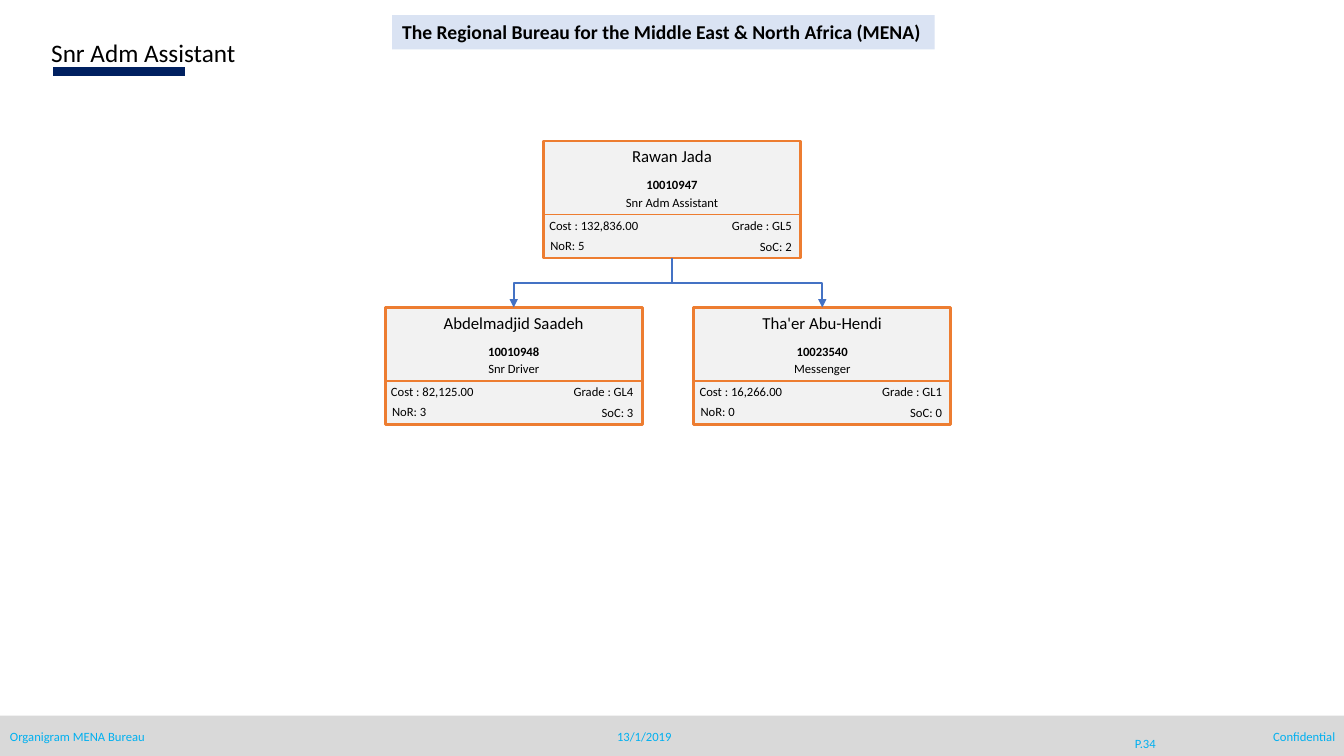
from pptx import Presentation
from pptx.dml.color import RGBColor
from pptx.enum.shapes import MSO_CONNECTOR, MSO_SHAPE
from pptx.enum.text import MSO_ANCHOR, MSO_AUTO_SIZE, PP_ALIGN
from pptx.oxml.ns import qn
from pptx.util import Inches, Pt
from lxml import etree

RECTANGLE = MSO_SHAPE.RECTANGLE
STRAIGHT, ELBOW = MSO_CONNECTOR.STRAIGHT, MSO_CONNECTOR.ELBOW
TOP, MIDDLE = MSO_ANCHOR.TOP, MSO_ANCHOR.MIDDLE
LEFT, CENTER, RIGHT = PP_ALIGN.LEFT, PP_ALIGN.CENTER, PP_ALIGN.RIGHT
FIT_SHAPE = MSO_AUTO_SIZE.SHAPE_TO_FIT_TEXT

SLIDE_WIDTH, SLIDE_HEIGHT = 13.33, 7.5
FONT = "Calibri"
BLACK, NAVY, ORANGE, BLUE, CYAN = "000000", "002060", "ED7D31", "4472C4", "00B0F0"
CARD_GRAY, FOOTER_GRAY, PALE_BLUE = "F2F2F2", "D9D9D9", "DAE3F3"

HEADING = "Snr Adm Assistant"
BUREAU = "The Regional Bureau for the Middle East & North Africa (MENA)"
FOOTER_TOP, FOOTER_TEXT_TOP = 7.1, 7.18
FOOTER = [
    ("Organigram MENA Bureau", 0, 3.08, 0.25, LEFT, TOP),
    ("Confidential", 10.26, 3.08, 0.25, RIGHT, TOP),
    ("P.34", 10.96, 0.8, 0.4, CENTER, MIDDLE),
    ("13/1/2019", 5.95, 0.88, 0.25, CENTER, MIDDLE),
]

CARD_WIDTH, CARD_HEIGHT, DIVIDER_OFFSET = 2.55, 1.16, 0.73
MANAGER = (5.39, 1.4, ["Rawan Jada", "10010947", "Snr Adm Assistant",
                       "Cost : 132,836.00", "Grade : GL5", "NoR: 5", "SoC: 2"])
REPORTS = [
    (3.82, 3.05, ["Abdelmadjid Saadeh", "10010948", "Snr Driver",
                  "Cost : 82,125.00", "Grade : GL4", "NoR: 3", "SoC: 3"]),
    (6.88, 3.05, ["Tha'er Abu-Hendi", "10023540", "Messenger",
                  "Cost : 16,266.00", "Grade : GL1", "NoR: 0", "SoC: 0"]),
]
CARD_FIELDS = [
    (0, 0, CARD_WIDTH, 0.3, CENTER, 12, False),
    (0, 0.31, CARD_WIDTH, 0.25, CENTER, 9, True),
    (0, 0.48, CARD_WIDTH, 0.25, CENTER, 9, False),
    (-0.04, 0.71, 1.23, 0.25, LEFT, 9, False),
    (1.34, 0.71, 1.22, 0.25, RIGHT, 9, False),
    (-0.03, 0.91, 0.79, 0.25, LEFT, 9, False),
    (1.54, 0.92, 1.02, 0.25, RIGHT, 9, False),
]


def color(value):
    return RGBColor.from_string(value)


def add_text(slide, text, box, size, align=LEFT, text_color=BLACK, bold=False,
             anchor=TOP, wrap=True):
    shape = slide.shapes.add_textbox(*map(Inches, box))
    frame = shape.text_frame
    frame.text = text
    frame.word_wrap = wrap
    frame.auto_size = FIT_SHAPE
    frame.vertical_anchor = anchor
    paragraph = frame.paragraphs[0]
    paragraph.alignment = align
    font = paragraph.runs[0].font
    font.name, font.size, font.bold = FONT, Pt(size), bold
    font.color.rgb = color(text_color)
    return shape


def add_rectangle(slide, box, fill, line=None):
    shape = slide.shapes.add_shape(RECTANGLE, *map(Inches, box))
    shape.shadow.inherit = False
    shape.fill.solid()
    shape.fill.fore_color.rgb = color(fill)
    if line:
        shape.line.color.rgb = color(line)
        shape.line.width = Pt(2)
    else:
        shape.line.fill.background()
    return shape


def add_line(slide, kind, start, end, line_color, width):
    connector = slide.shapes.add_connector(kind, *map(Inches, start + end))
    connector.line.color.rgb = color(line_color)
    connector.line.width = Pt(width)
    etree.SubElement(connector._element.spPr, qn("a:effectLst"))
    return connector


def add_card(slide, left, top, values):
    card = add_rectangle(slide, (left, top, CARD_WIDTH, CARD_HEIGHT), CARD_GRAY, ORANGE)
    divider = top + DIVIDER_OFFSET
    add_line(slide, STRAIGHT, (left, divider), (left + CARD_WIDTH, divider), ORANGE, 1)
    for value, (dx, dy, width, height, align, size, bold) in zip(values, CARD_FIELDS):
        add_text(slide, value, (left + dx, top + dy, width, height), size, align, bold=bold)
    return card


def link_cards(slide, parent, child):
    start_x, start_y = parent.left + parent.width // 2, parent.top + parent.height
    end_x, end_y = child.left + child.width // 2, child.top
    connector = add_line(slide, ELBOW, (0, 0), (1, 1), BLUE, 1.5)
    connector.begin_connect(parent, 2)
    connector.end_connect(child, 0)
    drop, reach = end_y - start_y, abs(end_x - start_x)
    connector.width, connector.height = drop, reach
    connector.left = (start_x + end_x - drop) // 2
    connector.top = (start_y + end_y - reach) // 2
    properties = connector._element.spPr
    transform = properties.find(qn("a:xfrm"))
    goes_right = end_x > start_x
    transform.set("rot", "16200000" if goes_right else "5400000")
    transform.set("flipH", "1" if goes_right else "0")
    transform.set("flipV", "0")
    etree.SubElement(properties.find(qn("a:ln")), qn("a:tailEnd"), type="triangle")


def main():
    presentation = Presentation()
    presentation.slide_width = Inches(SLIDE_WIDTH)
    presentation.slide_height = Inches(SLIDE_HEIGHT)
    slide = presentation.slides.add_slide(presentation.slide_layouts[6])

    add_line(slide, STRAIGHT, (0.53, 0.71), (1.84, 0.71), NAVY, 7)
    add_text(slide, HEADING, (0.41, 0.32, 5.3, 0.41), 18)
    banner = add_text(slide, BUREAU, (3.89, 0.15, 5.38, 0.34), 14, bold=True, wrap=False)
    banner.fill.solid()
    banner.fill.fore_color.rgb = color(PALE_BLUE)

    add_rectangle(slide, (0, FOOTER_TOP, SLIDE_WIDTH, SLIDE_HEIGHT - FOOTER_TOP), FOOTER_GRAY)
    for text, left, width, height, align, anchor in FOOTER:
        add_text(slide, text, (left, FOOTER_TEXT_TOP, width, height), 9, align, CYAN,
                 anchor=anchor)

    manager = add_card(slide, *MANAGER)
    for report in REPORTS:
        link_cards(slide, manager, add_card(slide, *report))

    presentation.save("out.pptx")


if __name__ == "__main__":
    main()
